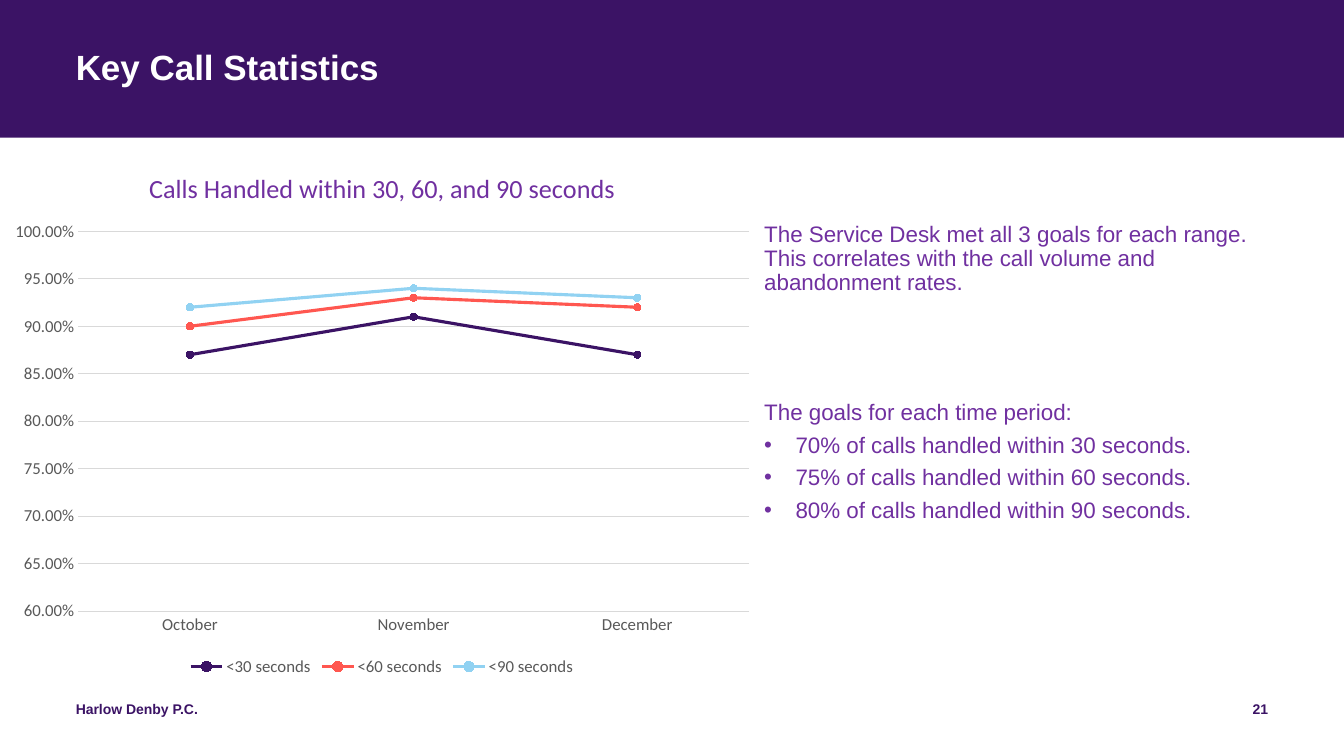
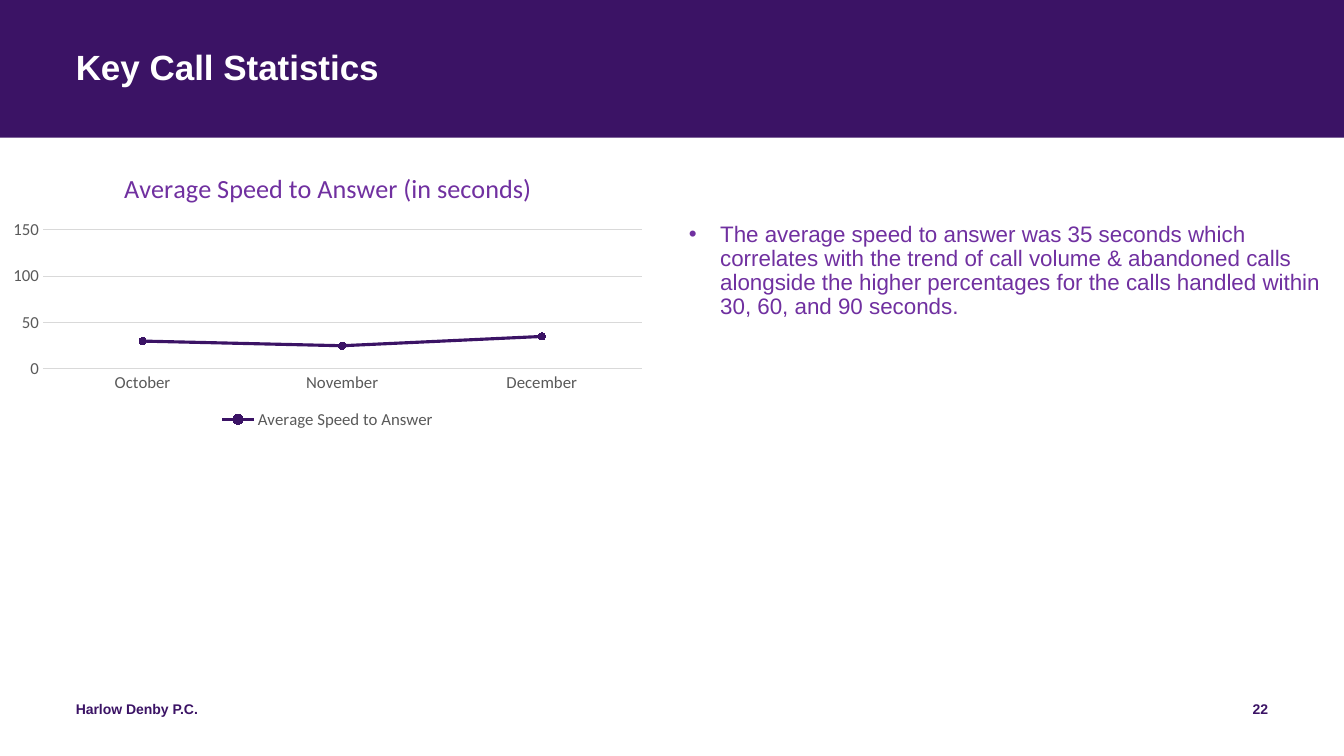
from lxml import etree
from pptx import Presentation
from pptx.chart.data import CategoryChartData
from pptx.dml.color import RGBColor
from pptx.enum.chart import XL_CHART_TYPE, XL_LEGEND_POSITION, XL_MARKER_STYLE, XL_TICK_MARK
from pptx.enum.shapes import MSO_SHAPE
from pptx.enum.text import PP_ALIGN
from pptx.oxml.ns import qn
from pptx.util import Cm, Pt

LINE_MARKERS = XL_CHART_TYPE.LINE_MARKERS
LEGEND_BOTTOM = XL_LEGEND_POSITION.BOTTOM
CIRCLE = XL_MARKER_STYLE.CIRCLE
NO_TICK = XL_TICK_MARK.NONE
RECTANGLE = MSO_SHAPE.RECTANGLE
LEFT, RIGHT = PP_ALIGN.LEFT, PP_ALIGN.RIGHT

COLORS = {
    "brand": "3B1365",
    "coral": "FF5750",
    "sky": "91D2F2",
    "text": "7030A0",
    "axis": "595959",
    "grid": "D9D9D9",
    "white": "FFFFFF",
}
SERIES_COLORS = ["brand", "coral", "sky"]
BODY_FONT, CHART_FONT = "Arial", "Calibri"
SLIDE_WIDTH, SLIDE_HEIGHT = 33.87, 19.05
MARGIN = 1.91
BULLET_INDENT = Cm(0.79)
COMPANY = "Harlow Denby P.C."
MONTHS = ["October", "November", "December"]

# Boxes are (left, top, width, height) in centimetres on the slide.
SLIDES = [
    {
        "title": "Key Call Statistics",
        "number": 21,
        "chart": {
            "box": (0, 3.84, 19.25, 13.31),
            "plot_box": (1.97, 5.83, 16.91, 9.57),
            "title": "Calls Handled within 30, 60, and 90 seconds",
            "title_left": 3.64,
            "scale": (0.6, 1, 0.05),
            "number_format": "0.00%",
            "series": {
                "<30 seconds": [0.87, 0.91, 0.87],
                "<60 seconds": [0.9, 0.93, 0.92],
                "<90 seconds": [0.92, 0.94, 0.93],
            },
        },
        "body_box": (19.26, 5.62, 12.7, 11.53),
        "body": [
            {"text": "The Service Desk met all 3 goals for each range. "
                     "This correlates with the call volume and abandonment rates."},
            {"text": "The goals for each time period:", "space_before": 69.5},
            {"text": "70% of calls handled within 30 seconds.", "bullet": True},
            {"text": "75% of calls handled within 60 seconds.", "bullet": True},
            {"text": "80% of calls handled within 90 seconds.", "bullet": True},
        ],
    },
    {
        "title": "Key Call Statistics",
        "number": 22,
        "chart": {
            "box": (0, 3.91, 16.51, 7.01),
            "plot_box": (1.08, 5.79, 15.09, 3.51),
            "title": "Average Speed to Answer (in seconds)",
            "title_left": 3.01,
            "scale": (0, 150, 50),
            "number_format": "General",
            "series": {"Average Speed to Answer": [30, 25, 35]},
        },
        "body_box": (17.36, 5.62, 16.51, 5.3),
        "body": [
            {"text": "The average speed to answer was 35 seconds which correlates with "
                     "the trend of call volume & abandoned calls alongside the higher "
                     "percentages for the calls handled within 30, 60, and 90 seconds.",
             "bullet": True},
        ],
    },
]


def rgb(name):
    return RGBColor.from_string(COLORS[name])


def set_font(font, size, color, name=BODY_FONT, bold=False):
    font.size, font.name, font.bold = Pt(size), name, bold
    font.color.rgb = rgb(color)


def set_line(line, color, width):
    line.color.rgb = rgb(color)
    line.width = Pt(width)


def add_bullet(paragraph):
    properties = paragraph._p.get_or_add_pPr()
    properties.set("marL", str(BULLET_INDENT))
    properties.set("indent", str(-BULLET_INDENT))
    etree.SubElement(properties, qn("a:buFont")).set("typeface", BODY_FONT)
    etree.SubElement(properties, qn("a:buChar")).set("char", "•")


def write_paragraph(paragraph, text, size=16, color="text", bold=False, align=LEFT,
                    line_spacing=0.9, space_before=0, space_after=6, bullet=False):
    paragraph.alignment = align
    paragraph.line_spacing = line_spacing
    paragraph.space_before, paragraph.space_after = Pt(space_before), Pt(space_after)
    if bullet:
        add_bullet(paragraph)
    run = paragraph.add_run()
    run.text = text
    set_font(run.font, size, color, bold=bold)


def add_text(slide, box, *paragraphs):
    """Add a text box without insets; each paragraph is a dict of text and format."""
    frame = slide.shapes.add_textbox(*map(Cm, box)).text_frame
    frame.word_wrap = True
    frame.margin_left = frame.margin_top = frame.margin_right = frame.margin_bottom = 0
    for index, content in enumerate(paragraphs):
        paragraph = frame.add_paragraph() if index else frame.paragraphs[0]
        write_paragraph(paragraph, **content)


def add_title_band(slide, box, title):
    left, top, width, height = box
    band = slide.shapes.add_shape(RECTANGLE, *map(Cm, box))
    band.shadow.inherit = False
    band.fill.solid()
    band.fill.fore_color.rgb = rgb("brand")
    band.line.fill.background()
    add_text(slide, (left + MARGIN, top + 1.27, width - 2 * MARGIN, height - 1.42),
             {"text": title, "size": 25, "color": "white", "bold": True, "space_after": 0})


def add_footer(slide, box, number):
    left, top, width, height = box
    number_width = 7.62
    style = {"size": 10, "color": "brand", "bold": True, "line_spacing": 1}
    add_text(slide, (left, top, 11.43, height), {"text": COMPANY, **style})
    add_text(slide, (left + width - number_width, top, number_width, height),
             {"text": str(number), "align": RIGHT, **style})


def set_layout(parent, position, **settings):
    """Fix the place of a chart part, in fractions of the chart."""
    for old_layout in parent.findall(qn("c:layout")):
        parent.remove(old_layout)
    layout = etree.Element(qn("c:layout"))
    manual = etree.SubElement(layout, qn("c:manualLayout"))
    for name, value in settings.items():
        etree.SubElement(manual, qn(f"c:{name}")).set("val", str(value))
    parent.insert(position, layout)


def style_axes(chart, scale, number_format):
    for axis in (chart.category_axis, chart.value_axis):
        axis.major_tick_mark = axis.minor_tick_mark = NO_TICK
        set_font(axis.tick_labels.font, 12, "axis", CHART_FONT)
    set_line(chart.category_axis.format.line, "grid", 0.75)
    value_axis = chart.value_axis
    value_axis.minimum_scale, value_axis.maximum_scale, value_axis.major_unit = scale
    value_axis.format.line.fill.background()
    value_axis.has_major_gridlines = True
    set_line(value_axis.major_gridlines.format.line, "grid", 0.75)
    value_axis.tick_labels.number_format = number_format
    value_axis.tick_labels.number_format_is_linked = False


def style_series(plot):
    plot.vary_by_categories = False
    for series, color in zip(plot.series, SERIES_COLORS):
        series.smooth = False
        set_line(series.format.line, color, 2.25)
        marker = series.marker
        marker.style, marker.size = CIRCLE, 5
        marker.format.fill.solid()
        marker.format.fill.fore_color.rgb = rgb(color)
        set_line(marker.format.line, color, 0.75)


def add_line_chart(slide, box, plot_box, title, title_left, scale, number_format, series):
    left, top, width, height = box
    data = CategoryChartData(number_format=number_format)
    data.categories = MONTHS
    for name, values in series.items():
        data.add_series(name, values)
    chart = slide.shapes.add_chart(LINE_MARKERS, *map(Cm, box), data).chart
    set_font(chart.font, 10, "axis", CHART_FONT)

    chart.has_title = True
    run = chart.chart_title.text_frame.paragraphs[0].add_run()
    run.text = title
    set_font(run.font, 18.7, "text", CHART_FONT)
    title_top = 4.18
    set_layout(chart.chart_title._element, 1, xMode="edge", yMode="edge",
               x=(title_left - left) / width, y=(title_top - top) / height)

    plot_left, plot_top, plot_width, plot_height = plot_box
    set_layout(chart._chartSpace.chart.plotArea, 0, layoutTarget="inner",
               xMode="edge", yMode="edge",
               x=(plot_left - left) / width, y=(plot_top - top) / height,
               w=plot_width / width, h=plot_height / height)

    chart.has_legend = True
    chart.legend.position = LEGEND_BOTTOM
    chart.legend.include_in_layout = False
    set_font(chart.legend.font, 12, "axis", CHART_FONT)
    style_axes(chart, scale, number_format)
    style_series(chart.plots[0])


def add_statistics_slide(presentation, content):
    slide = presentation.slides.add_slide(presentation.slide_layouts[6])
    add_title_band(slide, (0, 0, SLIDE_WIDTH, 3.47), content["title"])
    add_line_chart(slide, **content["chart"])
    add_text(slide, content["body_box"], *content["body"])
    add_footer(slide, (MARGIN, 17.65, SLIDE_WIDTH - 2 * MARGIN, 1.02), content["number"])


def main():
    presentation = Presentation()
    presentation.slide_width, presentation.slide_height = Cm(SLIDE_WIDTH), Cm(SLIDE_HEIGHT)
    for content in SLIDES:
        add_statistics_slide(presentation, content)
    presentation.save("out.pptx")


if __name__ == "__main__":
    main()
